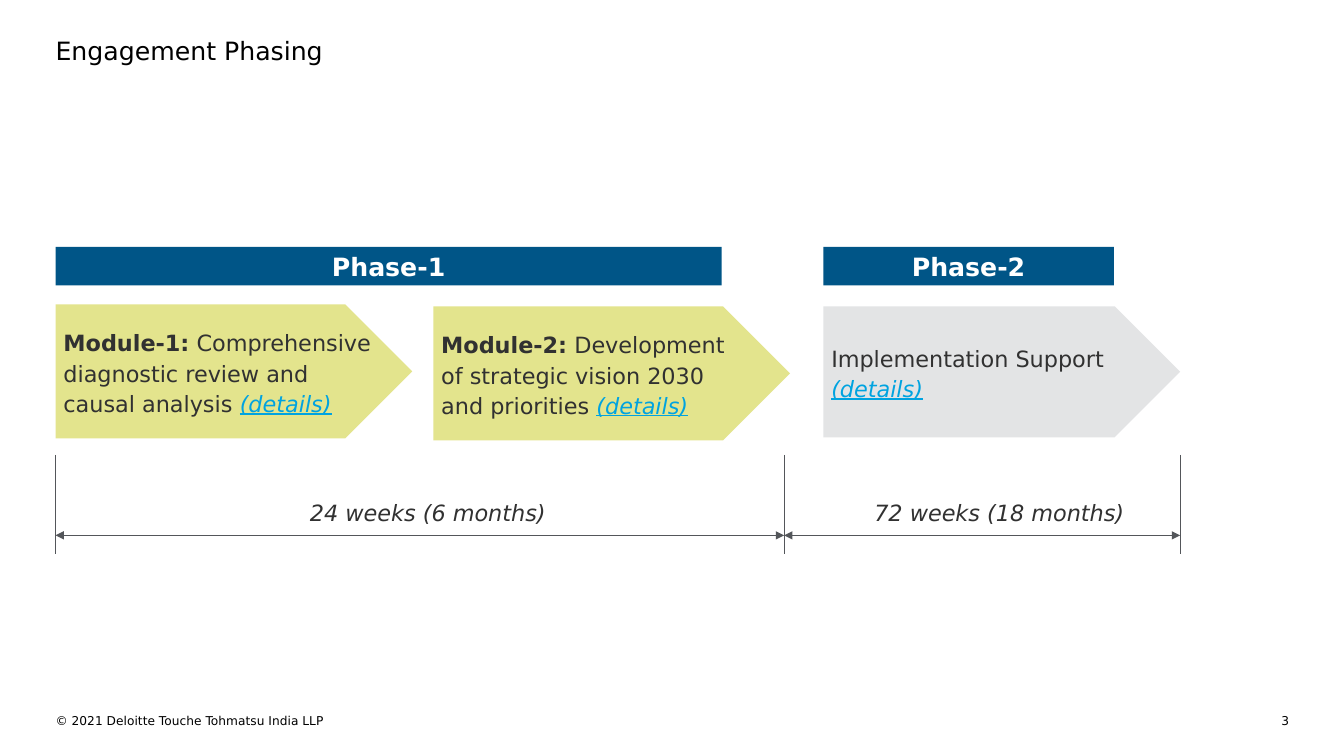
import pptx
import pptx.dml.color
import pptx.enum.shapes
import pptx.enum.text
import pptx.oxml.xmlchemy
import pptx.util

Cm = pptx.util.Cm
Align = pptx.enum.text.PP_ALIGN
Anchor = pptx.enum.text.MSO_ANCHOR
Preset = pptx.enum.shapes.MSO_SHAPE

COLOURS = {
    "black": "000000", "white": "FFFFFF", "text": "313131", "link": "00A3E0",
    "phase": "005587", "module": "E3E48D", "support": "E3E4E5", "line": "53565A",
}
LEFT = 1.4
PHASE_2_LEFT = 20.75
PHASES = [("Phase-1", LEFT, 16.79), ("Phase-2", PHASE_2_LEFT, 7.32)]
STEPS = [
    (LEFT, 7.67, 3.38, "module", "Module-1:",
     " Comprehensive diagnostic review and causal analysis "),
    (10.92, 7.72, 3.38, "module", "Module-2:",
     " Development of strategic vision 2030 and priorities "),
    (PHASE_2_LEFT, 7.72, 3.3, "support", "", "Implementation Support "),
]
MILESTONES = [LEFT, 19.76, 29.74]
DURATIONS = [("24 weeks (6 months)", 6.96), ("72 weeks (18 months)", 21.36)]


class SlideBuilder:
    font = "DejaVu Sans"

    def __init__(self, presentation):
        self.slide = presentation.slides.add_slide(presentation.slide_layouts[5])

    def colour(self, name):
        return pptx.dml.color.RGBColor.from_string(COLOURS[name])

    def fill_text(self, shape, runs, size, align=Align.LEFT, anchor=Anchor.TOP,
                  margins=(0, 0, 0, 0), spacing=None):
        frame = shape.text_frame
        frame.word_wrap = True
        frame.auto_size = pptx.enum.text.MSO_AUTO_SIZE.NONE
        frame.vertical_anchor = anchor
        (frame.margin_left, frame.margin_top,
         frame.margin_right, frame.margin_bottom) = map(Cm, margins)
        paragraph = frame.paragraphs[0]
        paragraph.alignment = align
        if spacing:
            paragraph.line_spacing = spacing
        for text, colour, marks in runs:
            run = paragraph.add_run()
            run.text = text
            run.font.name = self.font
            run.font.size = pptx.util.Pt(size)
            run.font.color.rgb = self.colour(colour)
            run.font.bold = "b" in marks
            run.font.italic = "i" in marks
            run.font.underline = "u" in marks

    def title(self, text, left, top, width, height):
        shape = self.slide.shapes.title
        shape.left, shape.top = Cm(left), Cm(top)
        shape.width, shape.height = Cm(width), Cm(height)
        self.fill_text(shape, [(text, "black", "")], 18)

    def text(self, left, top, width, height, runs, size, align=Align.LEFT):
        shape = self.slide.shapes.add_textbox(Cm(left), Cm(top), Cm(width), Cm(height))
        self.fill_text(shape, runs, size, align)

    def block(self, preset, left, top, width, height, fill, runs, size, **style):
        shape = self.slide.shapes.add_shape(
            preset, Cm(left), Cm(top), Cm(width), Cm(height))
        shape.shadow.inherit = False
        shape.fill.solid()
        shape.fill.fore_color.rgb = self.colour(fill)
        shape.line.fill.background()
        self.fill_text(shape, runs, size, anchor=Anchor.MIDDLE, **style)

    def line(self, start_x, start_y, end_x, end_y, arrows=False):
        connector = self.slide.shapes.add_connector(
            pptx.enum.shapes.MSO_CONNECTOR.STRAIGHT,
            Cm(start_x), Cm(start_y), Cm(end_x), Cm(end_y))
        connector.line.color.rgb = self.colour("line")
        connector.line.width = pptx.util.Pt(0.75)
        if arrows:
            outline = connector.line._get_or_add_ln()
            for end in ("a:headEnd", "a:tailEnd"):
                arrowhead = pptx.oxml.xmlchemy.OxmlElement(end)
                arrowhead.set("type", "triangle")
                outline.append(arrowhead)
        connector._element.spPr.append(pptx.oxml.xmlchemy.OxmlElement("a:effectLst"))


def main():
    presentation = pptx.Presentation()
    presentation.slide_width = Cm(33.87)
    presentation.slide_height = Cm(19.05)
    builder = SlideBuilder(presentation)

    builder.title("Engagement Phasing", LEFT, 0.9, 31.1, 1.02)

    for name, left, width in PHASES:
        builder.block(Preset.RECTANGLE, left, 6.22, width, 0.97, "phase",
                      [(name, "white", "b")], 18, align=Align.CENTER,
                      margins=(0.2, 0.1, 0.2, 0.1))

    for left, top, height, fill, label, description in STEPS:
        runs = [(label, "text", "b")] if label else []
        runs += [(description, "text", ""), ("(details)", "link", "iu")]
        builder.block(Preset.PENTAGON, left, top, 8.99, height, fill, runs, 16,
                      margins=(0.2, 0.1, 0.1, 0.1), spacing=1.14)

    for milestone in MILESTONES:
        builder.line(milestone, 11.46, milestone, 13.97)
    for start, end in zip(MILESTONES, MILESTONES[1:]):
        builder.line(start, 13.49, end, 13.49, arrows=True)
    for duration, left in DURATIONS:
        builder.text(left, 12.57, 7.65, 0.69, [(duration, "text", "i")], 16, Align.CENTER)

    builder.text(LEFT, 17.98, 14.88, 0.56,
                 [("© 2021 Deloitte Touche Tohmatsu India LLP", "black", "")], 8.7)
    builder.text(31.62, 17.98, 0.87, 0.28, [("3", "black", "")], 8.7, Align.RIGHT)

    presentation.save("out.pptx")


if __name__ == "__main__":
    main()
